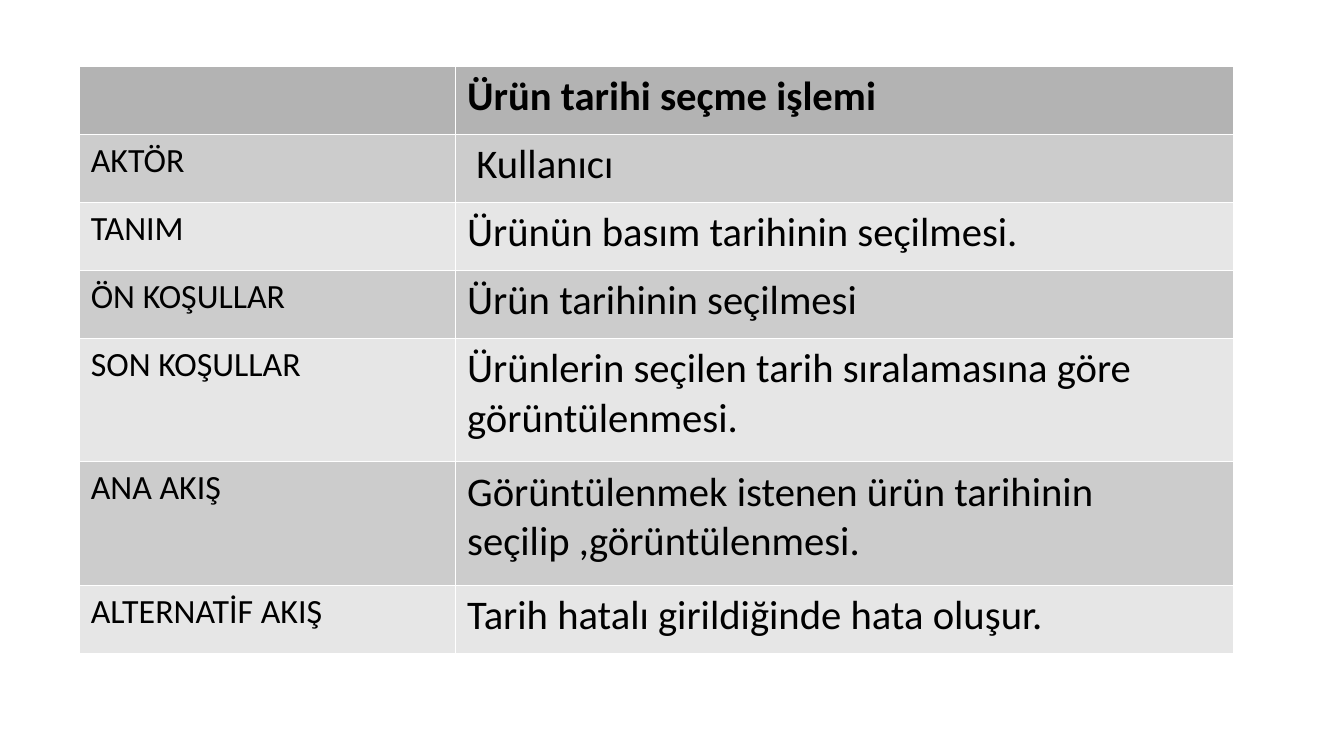
from lxml import etree
from pptx import Presentation
from pptx.dml.color import RGBColor
from pptx.oxml.ns import qn
from pptx.util import Pt

HUES = {"head": "B3B3B3", "odd": "CCCCCC", "even": "E6E6E6",
        "rule": "FFFFFF", "text": "000000"}
SHORT, TALL = 40.15, 72.9
COLS = (222.2, 459.5)
ROWS = [
    ("", "Ürün tarihi seçme işlemi", SHORT),
    ("AKTÖR", " Kullanıcı", SHORT),
    ("TANIM", "Ürünün basım tarihinin seçilmesi.", SHORT),
    ("ÖN KOŞULLAR", "Ürün tarihinin seçilmesi", SHORT),
    ("SON KOŞULLAR",
     "Ürünlerin seçilen tarih sıralamasına göre görüntülenmesi.", TALL),
    ("ANA AKIŞ",
     "Görüntülenmek istenen ürün tarihinin seçilip ,görüntülenmesi.", TALL),
    ("ALTERNATİF AKIŞ", "Tarih hatalı girildiğinde hata oluşur.", SHORT),
]
SIZES = (20, 24)


def rule(cell):
    """Draw a hairline on all four sides of a cell."""
    props = cell._tc.get_or_add_tcPr()
    for side in ("a:lnL", "a:lnR", "a:lnT", "a:lnB"):
        line = etree.SubElement(props, qn(side), w=str(Pt(0.06)))
        fill = etree.SubElement(line, qn("a:solidFill"))
        etree.SubElement(fill, qn("a:srgbClr"), val=HUES["rule"])


deck = Presentation()
deck.slide_width, deck.slide_height = Pt(793.44), Pt(446.4)
slide = deck.slides.add_slide(deck.slide_layouts[6])

high = sum(row[2] for row in ROWS)
frame = slide.shapes.add_table(len(ROWS), len(COLS), Pt(46.4), Pt(39),
                               Pt(sum(COLS)), Pt(high))
table = frame.table
for col, width in zip(table.columns, COLS):
    col.width = Pt(width)

for r, (label, text, height) in enumerate(ROWS):
    table.rows[r].height = Pt(height)
    shade = "head" if r == 0 else "odd" if r % 2 else "even"
    for c, words in enumerate((label, text)):
        cell = table.cell(r, c)
        rule(cell)
        cell.fill.solid()
        cell.fill.fore_color.rgb = RGBColor.from_string(HUES[shade])
        if not words:
            continue
        run = cell.text_frame.paragraphs[0].add_run()
        run.text = words
        looks = {"name": "Calibri", "size": Pt(SIZES[c]), "bold": r == 0}
        for key, value in looks.items():
            setattr(run.font, key, value)
        run.font.color.rgb = RGBColor.from_string(HUES["text"])

deck.save("out.pptx")
